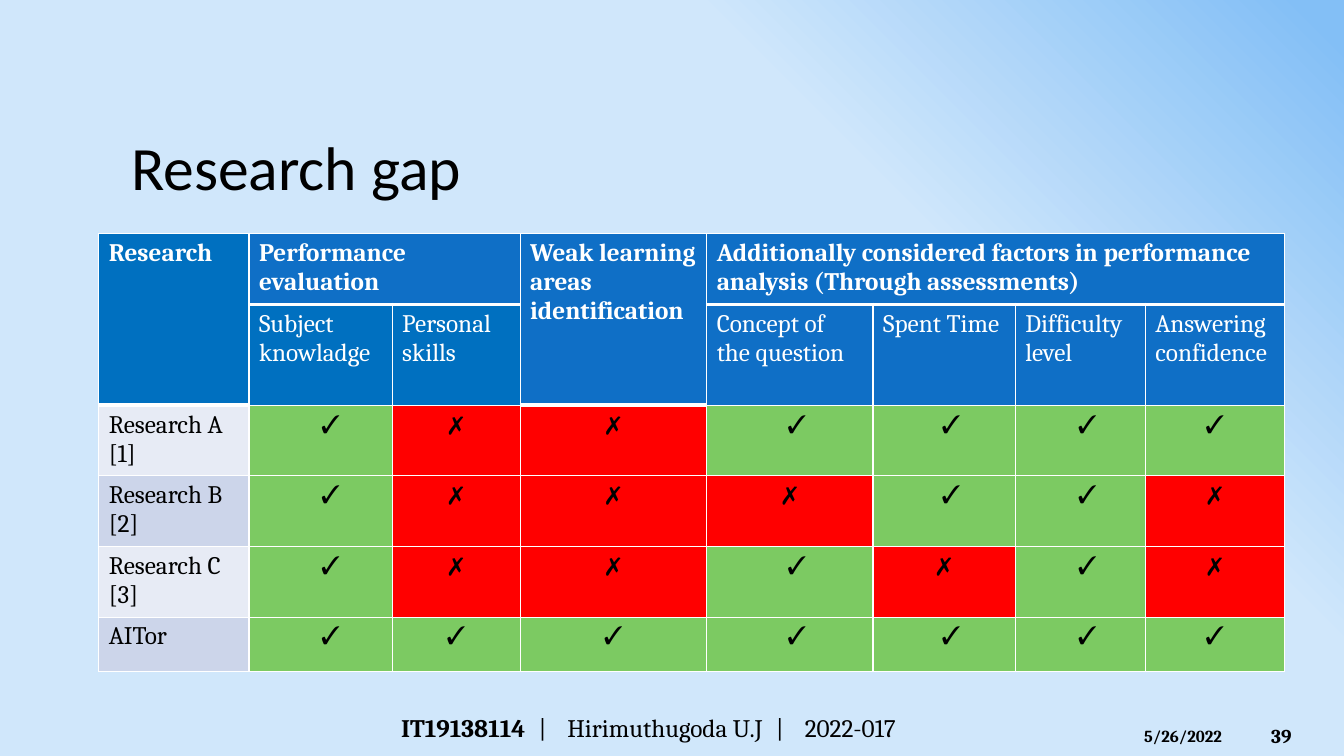
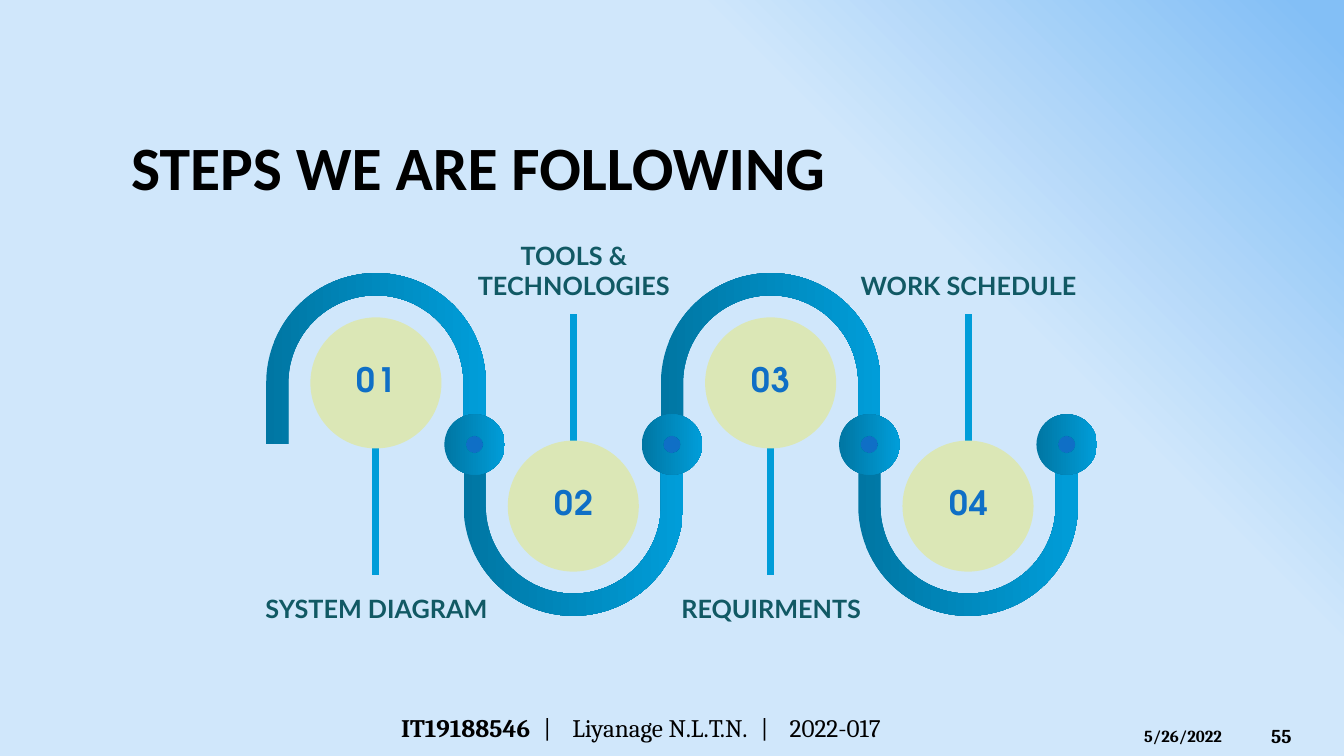
import math
from dataclasses import dataclass, replace

from lxml import etree
from pptx import Presentation
from pptx.dml.color import RGBColor
from pptx.enum.shapes import MSO_CONNECTOR, MSO_SHAPE
from pptx.enum.text import MSO_ANCHOR, PP_ALIGN
from pptx.oxml.ns import qn
from pptx.util import Inches, Pt

LEFT, CENTER = PP_ALIGN.LEFT, PP_ALIGN.CENTER
TOP, MIDDLE, BOTTOM = MSO_ANCHOR.TOP, MSO_ANCHOR.MIDDLE, MSO_ANCHOR.BOTTOM
OVAL, DONUT = MSO_SHAPE.OVAL, MSO_SHAPE.DONUT
STRAIGHT = MSO_CONNECTOR.STRAIGHT

SLIDE_WIDTH, SLIDE_HEIGHT = 13.33, 7.5
TITLE_ONLY = 5
BLACK, WHITE = "000000", "FFFFFF"
SKY, SKY_DEEP = "D0E7FB", "83BFF6"
BLUE, HEADER_BLUE = "0F6FC6", "0070C0"
CYAN, CYAN_DARK = "009DD9", "0076A3"
GREEN, RED, PALE_GREEN = "7CCA62", "FF0000", "DBE7B6"
ROW_LIGHT, ROW_DARK = "E7EBF5", "CCD5EA"
TEAL = "115964"


@dataclass(frozen=True)
class TextStyle:
    size: float
    font: str = "Cambria"
    color: str = BLACK
    bold: bool = False
    spacing: float = 0


TITLE = TextStyle(44, "Calibri")
BODY = TextStyle(18)
BODY_BOLD = replace(BODY, bold=True)
SEPARATOR = replace(BODY, spacing=5.5)
DATE = TextStyle(12, bold=True)
PAGE = TextStyle(14, bold=True)
HEADING = replace(BODY_BOLD, color=WHITE)
SUBHEADING = replace(BODY, color=WHITE)
NUMBER = TextStyle(24, "TeX Gyre Adventor", BLUE, True, 1)
CAPTION = TextStyle(18, "Lato", TEAL, True)

DATE_TEXT = "5/26/2022"
GROUP_ID = "2022-017"

# Table: (row, column, rows spanned, columns spanned, text, fill)
TABLE_BOX = (0.98, 2.32, 11.76, 4.21)
COLUMN_WIDTHS = (1.49, 1.42, 1.27, 1.85, 1.65, 1.41, 1.29, 1.38)
ROW_HEIGHTS = (0.68, 0.95, 0.68, 0.68, 0.68, 0.54)
HEADINGS = (
    (0, 0, 2, 1, "Research", HEADER_BLUE),
    (0, 1, 1, 2, "Performance evaluation", BLUE),
    (0, 3, 2, 1, "Weak learning areas identification", BLUE),
    (0, 4, 1, 4, "Additionally considered factors in performance analysis "
                 "(Through assessments)", BLUE),
)
SUBHEADINGS = (
    (1, "Subject knowladge", HEADER_BLUE),
    (2, "Personal skills", HEADER_BLUE),
    (4, "Concept of the question", BLUE),
    (5, "Spent Time", BLUE),
    (6, "Difficulty level", BLUE),
    (7, "Answering confidence", BLUE),
)
FINDINGS = (
    ("Research A [1]", "✓✗✗✓✓✓✓"),
    ("Research B [2]", "✓✗✗✗✓✓✗"),
    ("Research C [3]", "✓✗✗✓✗✓✗"),
    ("AITor", "✓✓✓✓✓✓✓"),
)
TICK_INDENTS = (0.2, 0, 0, 0.14, 0.14, 0.14, 0)

STEPS = ("SYSTEM DIAGRAM", "TOOLS & TECHNOLOGIES", "REQUIRMENTS", "WORK SCHEDULE")
STEPS_BOX = (2.64, 2.71, 8.05, 3.4)


def rgb(color):
    return RGBColor.from_string(color)


def inches(*lengths):
    return [Inches(length) for length in lengths]


def write_runs(paragraph, runs, align=LEFT):
    paragraph.alignment = align
    for text, style in runs:
        run = paragraph.add_run()
        run.text = text
        run.font.size = Pt(style.size)
        run.font.name = style.font
        run.font.bold = style.bold
        run.font.color.rgb = rgb(style.color)
        if style.spacing:
            run._r.get_or_add_rPr().set("spc", str(round(style.spacing * 100)))


def add_text(slide, box, runs, align=LEFT, anchor=TOP):
    frame = slide.shapes.add_textbox(*inches(*box)).text_frame
    frame.word_wrap = True
    frame.vertical_anchor = anchor
    write_runs(frame.paragraphs[0], runs, align)


def paint_gradient(fill, first, last, angle=0, start=0, end=1):
    """Fill linearly, with the angle counted counter-clockwise."""
    fill.gradient()
    fill.gradient_angle = angle
    for stop, color, position in zip(fill.gradient_stops, (first, last), (start, end)):
        stop.color.rgb = rgb(color)
        stop.position = position


def finish_shape(shape, color=None):
    """Remove line and shadow; paint one colour, or the ribbon gradient."""
    shape.shadow.inherit = False
    shape.line.fill.background()
    if color:
        shape.fill.solid()
        shape.fill.fore_color.rgb = rgb(color)
    else:
        paint_gradient(shape.fill, CYAN_DARK, CYAN)


def add_round(slide, preset, center_x, center_y, radius, color=None):
    shape = slide.shapes.add_shape(
        preset, *inches(center_x - radius, center_y - radius, 2 * radius, 2 * radius))
    finish_shape(shape, color)
    return shape


def setup_template(presentation):
    presentation.slide_width, presentation.slide_height = inches(SLIDE_WIDTH, SLIDE_HEIGHT)
    paint_gradient(presentation.slide_master.background.fill,
                   SKY, SKY_DEEP, angle=45, start=0.69, end=0.98)
    title = presentation.slide_layouts[TITLE_ONLY].placeholders[0]
    title.left, title.top, title.width, title.height = inches(1.2, 0.84, 11.33, 1.61)


def start_slide(presentation, title, title_style, student_id, student, page):
    """Add a slide with its title, author line, date and page number."""
    slide = presentation.slides.add_slide(presentation.slide_layouts[TITLE_ONLY])
    frame = slide.shapes.title.text_frame
    frame.vertical_anchor = MIDDLE
    write_runs(frame.paragraphs[0], [(title, title_style)])
    bar = (" | ", SEPARATOR)
    add_text(slide, (3.88, 7.02, 7.45, 0.4),
             [(student_id, BODY_BOLD), bar, (student, BODY), bar, (GROUP_ID, BODY)],
             anchor=MIDDLE)
    add_text(slide, (11.25, 7.15, 1.17, 0.3), [(DATE_TEXT, DATE)])
    add_text(slide, (12.51, 7.1, 0.74, 0.4), [(page, PAGE)], anchor=MIDDLE)
    return slide


def set_borders(cell, bottom):
    properties = cell._tc.get_or_add_tcPr()
    for side, width in (("L", 1), ("R", 1), ("T", 1), ("B", bottom)):
        line = etree.SubElement(properties, qn(f"a:ln{side}"), w=str(Pt(width)))
        fill = etree.SubElement(line, qn("a:solidFill"))
        etree.SubElement(fill, qn("a:srgbClr"), val=WHITE)


def fill_cell(cell, text, style, color, align=LEFT):
    cell.fill.solid()
    cell.fill.fore_color.rgb = rgb(color)
    write_runs(cell.text_frame.paragraphs[0], [(text, style)], align)


def add_research_table(slide, box):
    table = slide.shapes.add_table(
        len(ROW_HEIGHTS), len(COLUMN_WIDTHS), *inches(*box)).table
    for column, width in zip(table.columns, COLUMN_WIDTHS):
        column.width = Inches(width)
    for row, height in zip(table.rows, ROW_HEIGHTS):
        row.height = Inches(height)

    tall_columns = [column for _, column, rows, *_ in HEADINGS if rows > 1]
    for row in range(len(ROW_HEIGHTS)):
        for column in range(len(COLUMN_WIDTHS)):
            heavy = row == 0 or (row == 1 and column in tall_columns)
            set_borders(table.cell(row, column), 3 if heavy else 1)

    for row, column, rows, columns, text, color in HEADINGS:
        cell = table.cell(row, column)
        cell.merge(table.cell(row + rows - 1, column + columns - 1))
        fill_cell(cell, text, HEADING, color)
    for column, text, color in SUBHEADINGS:
        fill_cell(table.cell(1, column), text, SUBHEADING, color)
    for index, (name, marks) in enumerate(FINDINGS):
        row = index + 2
        fill_cell(table.cell(row, 0), name, BODY, ROW_DARK if index % 2 else ROW_LIGHT)
        for column, (mark, indent) in enumerate(zip(marks, TICK_INDENTS), start=1):
            cell = table.cell(row, column)
            met = mark == "✓"
            if met:
                cell.margin_left = Inches(0.1 + indent)
            fill_cell(cell, mark, BODY, GREEN if met else RED, CENTER)


def add_stem(slide, x, start_y, end_y):
    stem = slide.shapes.add_connector(STRAIGHT, *inches(x, start_y, x, end_y))
    stem.line.color.rgb = rgb(CYAN)
    stem.line.width = Pt(5)
    etree.SubElement(stem._element.spPr, qn("a:effectLst"))


def add_arch(slide, center_x, center_y, outer, inner, base_y):
    """Draw a half ring whose two straight legs end at base_y."""
    direction = 1 if center_y < base_y else -1

    def half_circle(radius):
        angles = [math.pi * step / 48 for step in range(49)]
        return [(center_x - radius * math.cos(angle),
                 center_y - direction * radius * math.sin(angle)) for angle in angles]

    def leg_ends(radius):
        return (center_x - radius, base_y), (center_x + radius, base_y)

    outer_left, outer_right = leg_ends(outer)
    inner_left, inner_right = leg_ends(inner)
    outline = [outer_left, *half_circle(outer), outer_right,
               inner_right, *reversed(half_circle(inner)), inner_left]
    points = [tuple(inches(*point)) for point in outline]
    builder = slide.shapes.build_freeform(*points[0], scale=1.0)
    builder.add_line_segments(points[1:], close=True)
    finish_shape(builder.convert_to_shape())


def add_steps(slide, box):
    """Draw the winding ribbon with its numbered steps inside the box."""
    left, top, width, height = box
    base = top + height / 2
    thickness = 0.22
    # Neighbouring arches overlap by the thickness of the ribbon.
    pitch = (width - thickness) / len(STEPS)
    outer = (pitch + thickness) / 2
    rise = height / 2 - outer
    centers = []
    for index in range(len(STEPS)):
        side = -1 if index % 2 == 0 else 1
        centers.append((left + outer + index * pitch, base + side * rise, side))

    for x, y, side in centers:
        add_stem(slide, x, y, y - side * 1.91)
    for x, y, _ in reversed(centers):
        add_arch(slide, x, y, outer, outer - thickness, base)
    for x, _, _ in centers:
        node_x = x + pitch / 2
        add_round(slide, OVAL, node_x, base, 0.2, BLUE)
        ring = add_round(slide, DONUT, node_x, base, 0.3)
        ring.adjustments[0] = 0.35
    for index, ((x, y, side), caption) in enumerate(zip(centers, STEPS), start=1):
        add_round(slide, OVAL, x, y, 0.65, PALE_GREEN)
        add_text(slide, (x - 0.42, y - 0.29, 0.85, 0.59), [(f"{index:02}", NUMBER)], CENTER)
        caption_top, anchor = (base + 1.43, TOP) if side < 0 else (base - 2.08, BOTTOM)
        add_text(slide, (x - 1.27, caption_top, 2.55, 0.7), [(caption, CAPTION)],
                 CENTER, anchor)


def main():
    presentation = Presentation()
    setup_template(presentation)

    slide = start_slide(presentation, "Research gap", TITLE,
                        "IT19138114", "Hirimuthugoda U.J", "39")
    add_research_table(slide, TABLE_BOX)

    slide = start_slide(presentation, "STEPS WE ARE FOLLOWING", replace(TITLE, bold=True),
                        "IT19188546", "Liyanage N.L.T.N.", "55")
    add_steps(slide, STEPS_BOX)

    presentation.save("out.pptx")


if __name__ == "__main__":
    main()
